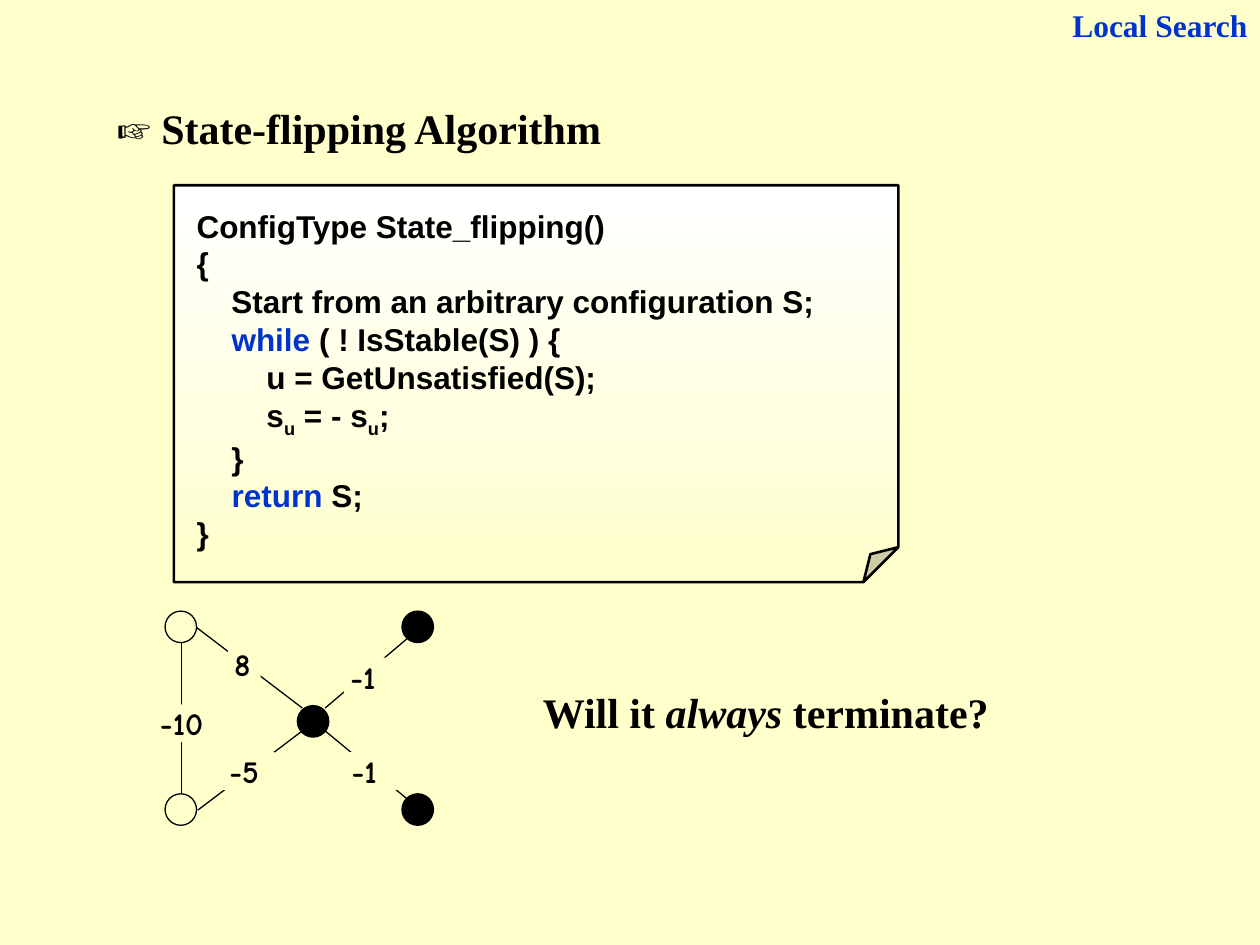
import dataclasses

import pptx
import pptx.dml.color
import pptx.enum.shapes
import pptx.enum.text
import pptx.oxml.ns
import pptx.util
from lxml import etree

Inches = pptx.util.Inches
Pt = pptx.util.Pt
qn = pptx.oxml.ns.qn
Shape = pptx.enum.shapes.MSO_SHAPE
Align = pptx.enum.text.PP_ALIGN
Anchor = pptx.enum.text.MSO_ANCHOR
Color = pptx.dml.color.RGBColor


@dataclasses.dataclass(frozen=True)
class Theme:
    paper: Color = Color.from_string("FFFFCC")
    white: Color = Color.from_string("FFFFFF")
    ink: Color = Color.from_string("000000")
    accent: Color = Color.from_string("0033CC")
    serif: str = "Times New Roman"
    code: str = "Arial"
    label: str = "Comic Neue"
    large: int = 24
    small: int = 18


THEME = Theme()
NODE_SIZE = 0.25

CODE = [
    [("ConfigType State_flipping()", "")],
    [("{", "")],
    [("    Start from an arbitrary configuration S;", "")],
    [("    ", ""), ("while", "keyword"), (" ( ! IsStable(S) ) {", "")],
    [("        u = GetUnsatisfied(S);", "")],
    [("        s", ""), ("u", "sub"), (" = - s", ""), ("u", "sub"), (";", "")],
    [("    }", "")],
    [("    ", ""), ("return", "keyword"), (" S;", "")],
    [("}", "")],
]
QUESTION = [[("Will it ", ""), ("always", "italic"), (" terminate?", "")]]

EDGES = [
    (1.44, 6.3, 1.44, 5.1),
    (2.4, 5.62, 1.56, 4.98),
    (2.4, 5.8, 1.57, 6.43),
    (2.58, 5.62, 3.23, 5.07),
    (2.58, 5.8, 3.23, 6.34),
]
WEIGHTS = [
    ("-5", 1.77, 5.97, 0.41),
    ("-10", 1.22, 5.59, 0.56),
    ("8", 1.81, 5.12, 0.26),
    ("-1", 2.74, 5.97, 0.41),
    ("-1", 2.73, 5.22, 0.41),
]
NODES = [
    (1.31, 4.85, THEME.paper),
    (1.31, 6.3, THEME.paper),
    (2.36, 5.6, THEME.ink),
    (3.19, 4.85, THEME.ink),
    (3.19, 6.3, THEME.ink),
]


def write(box, lines, font, size, color=THEME.ink, align=Align.LEFT,
          insets=(0.1, 0.05, 0.1, 0.05)):
    frame = box.text_frame
    frame.word_wrap = True
    frame.auto_size = pptx.enum.text.MSO_AUTO_SIZE.NONE
    frame.vertical_anchor = Anchor.TOP
    (frame.margin_left, frame.margin_top,
     frame.margin_right, frame.margin_bottom) = map(Inches, insets)
    for index, line in enumerate(lines):
        para = frame.add_paragraph() if index else frame.paragraphs[0]
        para.alignment = align
        para.space_before = Pt(0)
        for text, style in line:
            span = para.add_run()
            span.text = text
            span.font.name = font
            span.font.size = Pt(size)
            span.font.bold = True
            span.font.italic = style == "italic"
            span.font.color.rgb = THEME.accent if style == "keyword" else color
            if style == "sub":
                span._r.get_or_add_rPr().set("baseline", "-25000")


def add_text(page, place, lines, size, **options):
    box = page.shapes.add_textbox(*map(Inches, place))
    write(box, lines, THEME.serif, size, **options)


def add_title(page, place, text):
    title = page.shapes.title
    title.left, title.top, title.width, title.height = map(Inches, place)
    write(title, [[(text, "")]], THEME.serif, THEME.large)


def add_outline(shape, width):
    shape.shadow.inherit = False
    shape.line.color.rgb = THEME.ink
    shape.line.width = Pt(width)


def set_fold(card, share):
    guides = card._element.spPr.find(qn("a:prstGeom")).get_or_add_avLst()
    for guide in list(guides):
        guides.remove(guide)
    etree.SubElement(guides, qn("a:gd"), name="adj",
                     fmla=f"val {round(share * 100000)}")


def add_code_card(page, place):
    card = page.shapes.add_shape(Shape.FOLDED_CORNER, *map(Inches, place))
    set_fold(card, 0.088)
    add_outline(card, 1.5)
    card.fill.gradient()
    card.fill.gradient_angle = 270
    for stop, color, position in zip(card.fill.gradient_stops,
                                     (THEME.white, THEME.paper), (0, 1)):
        stop.color.rgb = color
        stop.position = position
    write(card, CODE, THEME.code, THEME.small, insets=(0.18, 0.17, 0.1, 0.05))


def add_edge(page, ends):
    edge = page.shapes.add_connector(
        pptx.enum.shapes.MSO_CONNECTOR.STRAIGHT, *map(Inches, ends))
    edge.line.color.rgb = THEME.ink
    edge.line.width = Pt(0.75)
    etree.SubElement(edge._element.spPr, qn("a:effectLst"))


def add_weight(page, text, left, top, width):
    label = page.shapes.add_shape(
        Shape.RECTANGLE, *map(Inches, (left, top, width, 0.3)))
    label.shadow.inherit = False
    label.fill.solid()
    label.fill.fore_color.rgb = THEME.paper
    label.line.fill.background()
    write(label, [[(text, "")]], THEME.label, THEME.small,
          insets=(0.05, 0, 0.05, 0))


def add_node(page, left, top, color):
    node = page.shapes.add_shape(
        Shape.OVAL, *map(Inches, (left, top, NODE_SIZE, NODE_SIZE)))
    add_outline(node, 0.75)
    node.fill.solid()
    node.fill.fore_color.rgb = color


def add_network(page):
    for ends in EDGES:
        add_edge(page, ends)
    for weight in WEIGHTS:
        add_weight(page, *weight)
    for node in NODES:
        add_node(page, *node)


def main():
    deck = pptx.Presentation()
    deck.slide_width = Inches(10)
    deck.slide_height = Inches(7.5)
    page = deck.slides.add_slide(deck.slide_layouts.get_by_name("Title Only"))
    page.background.fill.solid()
    page.background.fill.fore_color.rgb = THEME.paper

    add_text(page, (7.84, 0, 2.16, 0.4), [[("Local Search", "")]],
             THEME.small, color=THEME.accent, align=Align.RIGHT)
    add_title(page, (0.83, 0.76, 5.28, 0.5), "☞ State-flipping Algorithm")
    add_code_card(page, (1.38, 1.47, 5.75, 3.15))
    add_network(page)
    add_text(page, (4.21, 5.4, 4.17, 0.5), QUESTION, THEME.large)
    deck.save("out.pptx")


if __name__ == "__main__":
    main()
